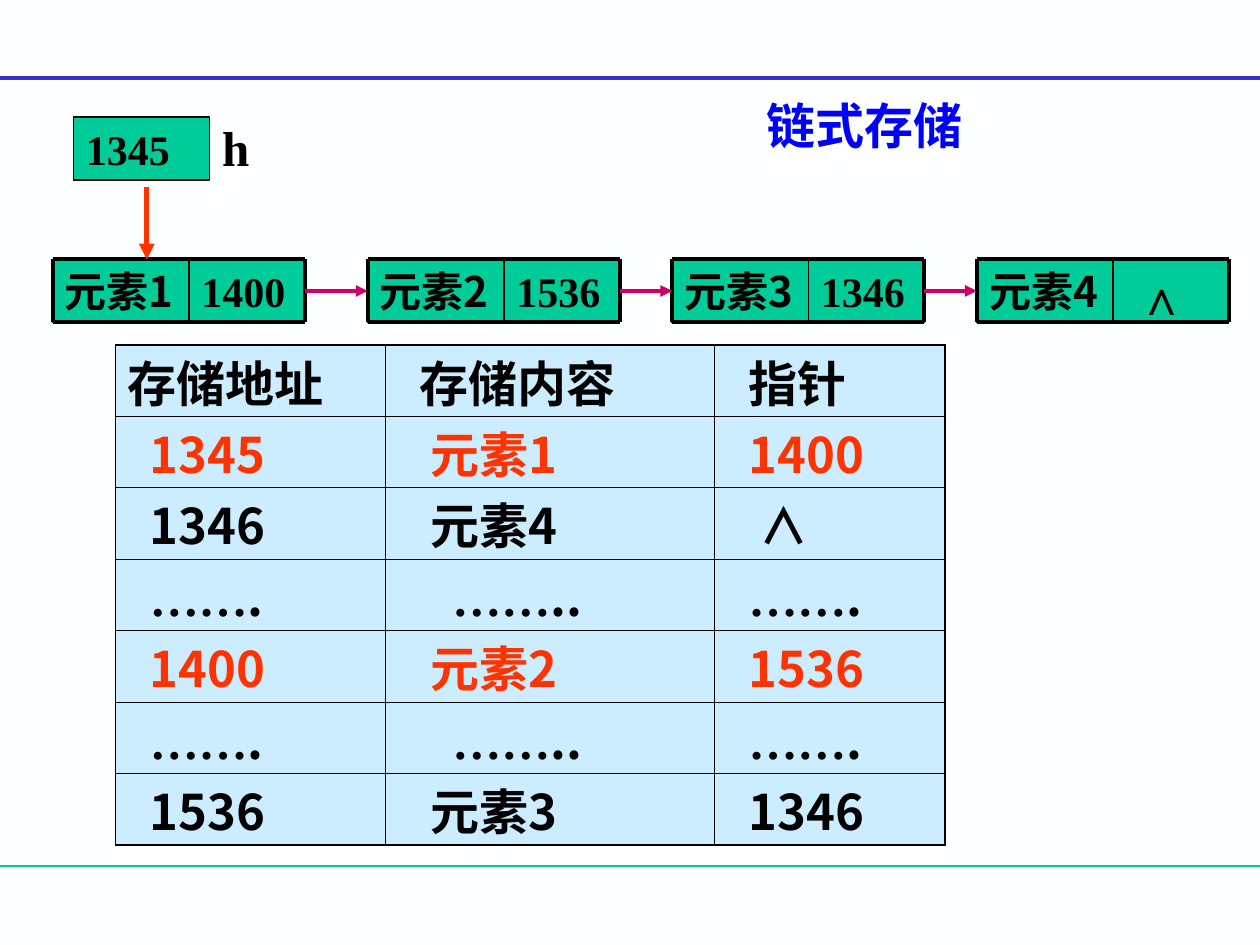
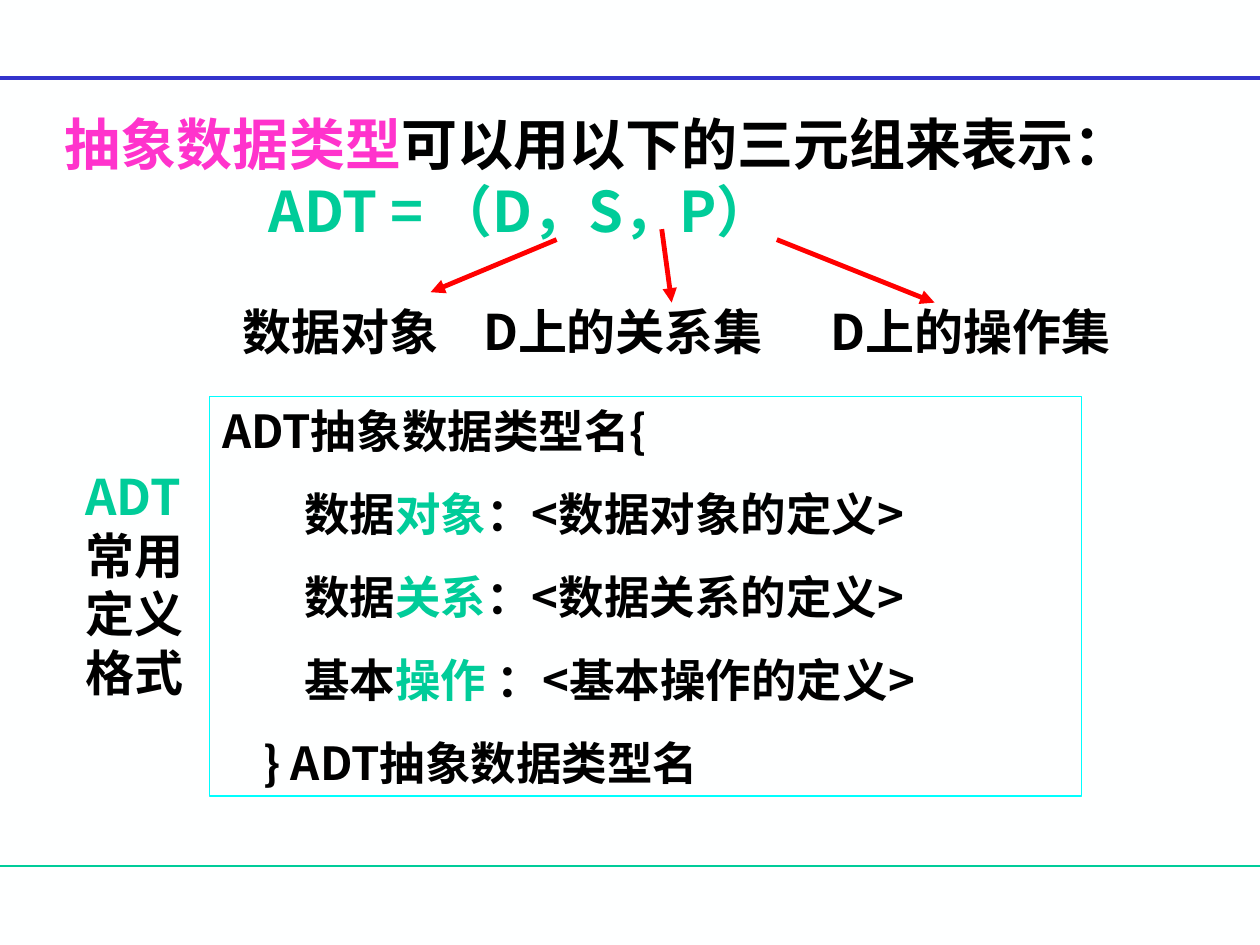
from pptx import Presentation
from pptx.dml.color import RGBColor as RGB
from pptx.enum.shapes import MSO_CONNECTOR as LINK, MSO_SHAPE as SHAPE
from pptx.enum.text import MSO_ANCHOR as ANCHOR, PP_ALIGN as ALIGN
from pptx.oxml.ns import qn
from pptx.util import Cm, Pt
from lxml.etree import SubElement as sub

SANS, SERIF = "Noto Sans CJK SC", "Times New Roman"
BLACK, GREEN, RED = "000000", "00CC99", "FF3300"
BLUE, TITLE, PINK = "3333CC", "0000FF", "FF33CC"
ROSE, ARROW, CYAN, PALE = "CC0066", "FF0000", "00FFFF", "CCECFF"
SPACE = 0.22
NODE_Y, NODE_H, DATA_W, LINK_W = 5.23, 1.27, 2.75, 2.33


def paint(target, colour):
    """Give a fill, line or font a solid colour."""
    if hasattr(target, "solid"):
        target.solid()
        target.fore_color.rgb = RGB.from_string(colour)
    else:
        target.color.rgb = RGB.from_string(colour)


def write(para, parts, size, indent=0, before=0):
    """Fill a paragraph with (text, colour, font) parts in bold."""
    para.alignment = ALIGN.LEFT
    para.space_before = Pt(before)
    para._p.get_or_add_pPr().set("marL", str(Cm(indent)))
    for text, colour, *face in parts:
        run = para.add_run()
        run.text = text
        font = run.font
        font.size, font.bold = Pt(size), True
        font.name = face[0] if face else SANS
        paint(font, colour)
        sub(font._element, qn("a:ea"), typeface=font.name)


def inset(frame, top=0.13, right=0.25):
    """Set the wrap and the inner margins of a text frame."""
    frame.word_wrap = True
    frame.margin_left, frame.margin_right = Cm(0.25), Cm(right)
    frame.margin_top, frame.margin_bottom = Cm(top), Cm(0.13)


def label(slide, x, y, w, h, parts, size):
    """Add a text box with one paragraph and return its frame."""
    frame = slide.shapes.add_textbox(Cm(x), Cm(y), Cm(w), Cm(h)).text_frame
    inset(frame)
    write(frame.paragraphs[0], parts, size)
    return frame


def block(slide, x, y, w, h, fill, edge):
    """Add a plain rectangle with a thin outline."""
    shape = slide.shapes.add_shape(SHAPE.RECTANGLE, Cm(x), Cm(y), Cm(w), Cm(h))
    shape.shadow.inherit = False
    if fill:
        paint(shape.fill, fill)
    else:
        shape.fill.background()
    paint(shape.line, edge)
    shape.line.width = Pt(0.75)
    return shape


def rule(slide, start, end, colour, width, arrow=False):
    """Draw a straight line, with an arrowhead on request."""
    points = [Cm(v) for v in (*start, *end)]
    line = slide.shapes.add_connector(LINK.STRAIGHT, *points)
    paint(line.line, colour)
    line.line.width = Pt(width)
    if arrow:
        sub(line.line._get_or_add_ln(), qn("a:tailEnd"), type="triangle")
    sub(line._element.spPr, qn("a:effectLst"))


def cell(slide, x, y, w, text, font=SERIF, size=24, indent=0, top=0.13):
    """Add one green memory cell."""
    frame = block(slide, x, y, w, NODE_H, GREEN, BLACK).text_frame
    inset(frame, top, 0)
    frame.vertical_anchor = ANCHOR.MIDDLE
    write(frame.paragraphs[0], [(text, BLACK, font)], size, indent)


def node(slide, x, name, link):
    """Add a list node with its data and pointer cells."""
    mid, end, low = x + DATA_W, x + DATA_W + LINK_W, NODE_Y + NODE_H
    style = dict(size=28, indent=0.25, top=0.33) if link == "∧" else {}
    cell(slide, mid, NODE_Y, LINK_W, link, **style)
    cell(slide, x, NODE_Y, DATA_W, name, SANS)
    for y in (NODE_Y, low):
        rule(slide, (x, y), (end, y), BLACK, 2.25)
    for side, width in ((x, 2.25), (mid, 1), (end, 2.25)):
        rule(slide, (side, NODE_Y), (side, low), BLACK, width)


def border(box, widths):
    """Draw the four borders of a table cell."""
    props = box._tc.get_or_add_tcPr()
    for side, width in zip("LRTB", widths):
        line = sub(props, qn("a:ln" + side), w=str(Pt(width)))
        fill = sub(line, qn("a:solidFill"))
        sub(fill, qn("a:srgbClr"), val=BLACK)


def table(slide, x, y, widths, high, rows):
    """Add the memory table from rows of (colour, texts, indents)."""
    size = len(rows), len(widths)
    total = Cm(sum(widths)), Cm(high * len(rows))
    grid = slide.shapes.add_table(*size, Cm(x), Cm(y), *total).table
    for col, wide in zip(grid.columns, widths):
        col.width = Cm(wide)
    for r, (colour, texts, indents) in enumerate(rows):
        grid.rows[r].height = Cm(high)
        for c, (text, steps) in enumerate(zip(texts, indents)):
            box = grid.cell(r, c)
            edges = c == 0, c == size[1] - 1, r == 0, r == size[0] - 1
            border(box, [1.08 if edge else 0.45 for edge in edges])
            paint(box.fill, PALE)
            box.margin_left = box.margin_right = Cm(0.25)
            box.margin_top = box.margin_bottom = 0
            box.vertical_anchor = ANCHOR.BOTTOM
            parts = [(text, colour)]
            if text.startswith("……"):
                parts = [("……", colour, SERIF), (text[2:], colour)]
            write(box.text_frame.paragraphs[0], parts, 28, steps * SPACE)


def page(deck):
    """Add a blank slide with the shared background and rules."""
    slide = deck.slides.add_slide(deck.slide_layouts[6])
    paint(slide.background.fill, "FEFFFF")
    rule(slide, (0, 17.46), (25.4, 17.46), GREEN, 0.75)
    rule(slide, (0, 1.58), (25.4, 1.58), BLUE, 2.25)
    return slide


def chain(slide):
    """Build the linked storage slide."""
    nodes = [(1.06, "元素1", "1400"), (7.41, "元素2", "1536"),
             (13.55, "元素3", "1346"), (19.69, "元素4", "∧")]
    for item in nodes:
        node(slide, *item)
    mid = NODE_Y + NODE_H / 2
    for left, right in zip(nodes, nodes[1:]):
        start = left[0] + DATA_W + LINK_W, mid
        rule(slide, start, (right[0], mid), ROSE, 2.25, True)
    cell(slide, 1.48, 2.36, DATA_W, "1345")
    rule(slide, (2.96, 3.76), (2.96, NODE_Y), RED, 3, True)
    label(slide, 4.23, 2.24, 1.07, 1.44, [("h", BLACK, SERIF)], 28)
    label(slide, 15.2, 1.8, 5, 1.44, [("链式存储", TITLE)], 28)
    dots = BLACK, ("…….", "……..", "……."), (2, 5, 2)
    table(slide, 2.33, 6.95, (5.44, 6.63, 4.65), 1.44, [
        (BLACK, ("存储地址", "存储内容", "指针"), (0, 2, 2)),
        (RED, ("1345", "元素1", "1400"), (2, 3, 2)),
        (BLACK, ("1346", "元素4", "∧"), (2, 3, 3)),
        dots,
        (RED, ("1400", "元素2", "1536"), (2, 3, 2)),
        dots,
        (BLACK, ("1536", "元素3", "1346"), (2, 3, 2)),
    ])


def triple(slide):
    """Build the abstract data type slide."""
    intro = [("抽象数据类型", PINK), ("可以用以下的三元组来表示：", BLACK)]
    frame = label(slide, 1.06, 2.08, 23.3, 2.9, intro, 32)
    write(frame.add_paragraph(), [("ADT = （D，S，P）", GREEN)], 32, 4.1)
    for x, text in ((4.64, "数据对象"), (9.49, "D上的关系集"),
                    (16.5, "D上的操作集")):
        label(slide, x, 5.95, 7.5, 1.44, [(text, BLACK)], 28)

    frame = block(slide, 4.23, 8, 17.58, 8.05, None, CYAN).text_frame
    inset(frame)
    frame.vertical_anchor = ANCHOR.TOP
    lines = [(0, [("ADT抽象数据类型名{", BLACK)])]
    for head, key, rest in (("数据", "对象", "：<数据对象的定义>"),
                            ("数据", "关系", "：<数据关系的定义>"),
                            ("基本", "操作", " ：<基本操作的定义>")):
        lines.append((1.65, [(head, BLACK), (key, GREEN), (rest, BLACK)]))
    lines.append((0.83, [("} ADT抽象数据类型名", BLACK)]))
    for i, (indent, parts) in enumerate(lines):
        para = frame.add_paragraph() if i else frame.paragraphs[0]
        write(para, parts, 26, indent, 16.2 if i else 0)

    side = [("ADT", GREEN), ("常用定义格式", BLACK)]
    label(slide, 1.47, 9.27, 2.75, 5, side, 28)
    for start, end in (((11.22, 4.83), (8.68, 5.89)),
                       ((13.34, 4.62), (13.54, 6.1)),
                       ((15.66, 4.83), (18.84, 6.1))):
        rule(slide, start, end, ARROW, 2.75, True)


def main():
    """Build and save the deck."""
    deck = Presentation()
    deck.slide_width, deck.slide_height = Cm(25.4), Cm(19.05)
    chain(page(deck))
    triple(page(deck))
    deck.save("out.pptx")


if __name__ == "__main__":
    main()
